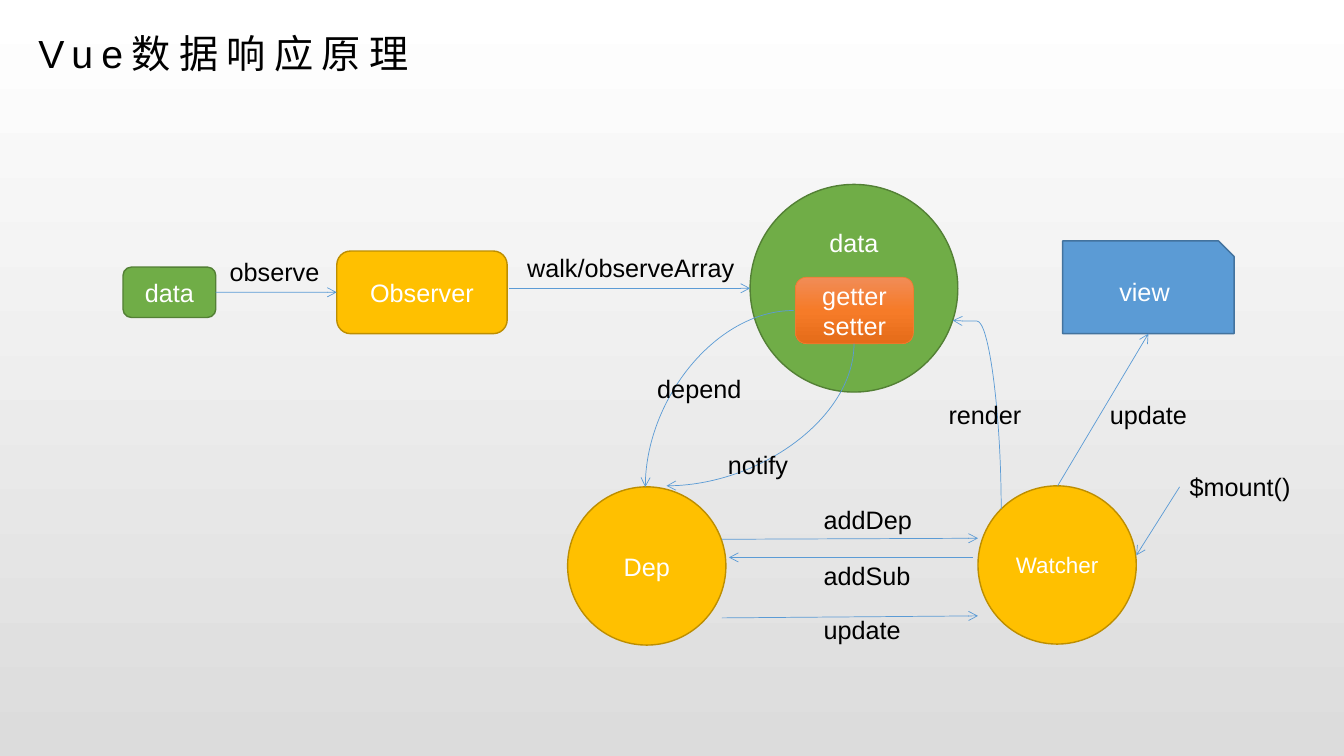
from copy import deepcopy
from lxml import etree
from pptx import Presentation
from pptx.dml.color import RGBColor
from pptx.enum.shapes import MSO_CONNECTOR, MSO_SHAPE
from pptx.enum.text import MSO_ANCHOR, MSO_AUTO_SIZE, PP_ALIGN
from pptx.oxml.ns import qn
from pptx.util import Inches, Pt

ROUND, OVAL, SNIP = (MSO_SHAPE.ROUNDED_RECTANGLE, MSO_SHAPE.OVAL,
                     MSO_SHAPE.SNIP_1_RECTANGLE)
LINE, CURVE = MSO_CONNECTOR.STRAIGHT, MSO_CONNECTOR.CURVE
MIDDLE, TOP = MSO_ANCHOR.MIDDLE, MSO_ANCHOR.TOP
CENTER, LEFT = PP_ALIGN.CENTER, PP_ALIGN.LEFT
FIT, FIXED = MSO_AUTO_SIZE.SHAPE_TO_FIT_TEXT, MSO_AUTO_SIZE.NONE

BLACK, WHITE = RGBColor(0, 0, 0), RGBColor(255, 255, 255)
GRAY = RGBColor(0xDC, 0xDC, 0xDC)
GREEN, MOSS = RGBColor(0x70, 0xAD, 0x47), RGBColor(0x53, 0x80, 0x35)
GOLD, OCHRE = RGBColor(0xFF, 0xC0, 0x00), RGBColor(0xBD, 0x8E, 0x00)
BLUE, NAVY = RGBColor(0x5B, 0x9B, 0xD5), RGBColor(0x43, 0x73, 0x9E)
RUST = RGBColor(0xED, 0x7D, 0x31)
GLOW = [RGBColor(0xF1, 0x8C, 0x57), RGBColor(0xF6, 0x7B, 0x28),
        RGBColor(0xE5, 0x6C, 0x19)]

FONT = "Arial"
WIDE, HIGH = Inches(13.33), Inches(7.5)
COLS, ROWS = 133.3, 75
TITLE = ("Vue数据响应原理", 2.7, 2.5, 45.9, 6.6)

NODES = {
    "data": ("data", ROUND, 12.2, 26.5, 9.2, 5, GREEN, MOSS, 18),
    "observer": ("Observer", ROUND, 33.4, 24.9, 16.9, 8.2, GOLD, OCHRE, 18),
    "store": ("data", OVAL, 74.4, 18.3, 20.6, 20.6, GREEN, MOSS, 18),
    "access": ("getter setter", ROUND, 78.9, 27.5, 11.7, 6.6, GLOW, RUST, 18),
    "dep": ("Dep", OVAL, 56.3, 48.3, 15.7, 15.7, GOLD, OCHRE, 18),
    "watcher": ("Watcher", OVAL, 97, 48.2, 15.7, 15.7, GOLD, OCHRE, 16),
    "view": ("view", SNIP, 105.4, 23.9, 17, 9.2, BLUE, NAVY, 18),
}
LINKS = [
    (21.4, 29, 33.4, 29, ("data", 3), ("observer", 1)),
    (50.5, 28.6, 74.4, 28.6, None, None),
    (71.6, 53.5, 97, 53.4, None, None),
    (104.9, 48.2, 113.9, 33.1, None, ("view", 2)),
    (71.6, 61.3, 97, 61.1, None, None),
    (96.5, 55.3, 72.3, 55.3, None, None),
    (117, 48.3, 112.7, 55.1, None, None),
]
CURVES = [
    (78.7, 30.8, 64, 48.3, 180, True, 2, None),
    (84.7, 34.1, 66.1, 48.2, 90, False, 2, None),
    (99.3, 50.5, 94.5, 31.8, 270, True, 3, 99700),
]
LABELS = [
    ("observe", 21.8, 24.9, 12),
    ("walk/observeArray", 51.3, 24.5, 23.9),
    ("depend", 64.2, 36.5, 10.8),
    ("notify", 71.2, 44.1, 8.5),
    ("addDep", 80.7, 49.5, 11.2),
    ("update", 109.1, 39.1, 10.1),
    ("update", 80.7, 60.5, 10.1),
    ("addSub", 80.7, 55.1, 11.1),
    ("$mount()", 117, 46.3, 12.5),
    ("render", 93.1, 39.1, 9.7),
]


def place(*cells):
    return [int(c * (HIGH / ROWS if i % 2 else WIDE / COLS))
            for i, c in enumerate(cells)]


def write(frame, text, size, color, align):
    frame.text = text
    para = frame.paragraphs[0]
    para.alignment = align
    font = para.runs[0].font
    font.name, font.size, font.color.rgb = FONT, Pt(size), color


def shade(fill, root, colors):
    fill.gradient()
    fill.gradient_angle = 270
    first = next(root.iter(qn("a:gs")))
    for _ in colors[2:]:
        first.addnext(deepcopy(first))
    for i, (stop, color) in enumerate(zip(fill.gradient_stops, colors)):
        stop.position = i / (len(colors) - 1)
        stop.color.rgb = color


def arrow(kind, *ends):
    link = slide.shapes.add_connector(kind, *place(*ends))
    link.line.color.rgb, link.line.width = BLUE, Pt(0.5)
    pen = link.line._get_or_add_ln()
    etree.SubElement(pen, qn("a:tailEnd"), type="arrow")
    etree.SubElement(link._element.spPr, qn("a:effectLst"))
    return link


deck = Presentation()
deck.slide_width, deck.slide_height = WIDE, HIGH
slide = deck.slides.add_slide(deck.slide_layouts[5])
shade(slide.background.fill, slide.element, [WHITE, GRAY])

title = slide.shapes.title
title.left, title.top, title.width, title.height = place(*TITLE[1:])
frame = title.text_frame
write(frame, TITLE[0], 28, BLACK, LEFT)
frame.word_wrap, frame.auto_size = True, FIXED
frame.vertical_anchor = TOP
frame.margin_left, frame.margin_right = Inches(0.11), Inches(0.03)
frame.margin_top = frame.margin_bottom = Inches(0.04)
frame.paragraphs[0].runs[0].font._element.set("spc", "600")

nodes = {}
for name, (text, kind, x, y, w, h, color, edge, size) in NODES.items():
    node = nodes[name] = slide.shapes.add_shape(kind, *place(x, y, w, h))
    node.shadow.inherit = False
    if color is GLOW:
        shade(node.fill, node._element, color)
    else:
        node.fill.solid()
        node.fill.fore_color.rgb = color
    node.line.color.rgb = edge
    node.line.width = Pt(0.5 if color is GLOW else 1)
    write(node.text_frame, text, size, WHITE, CENTER)
    node.text_frame.vertical_anchor = MIDDLE
nodes["store"].text_frame.margin_bottom = Inches(0.95)

for *ends, start, stop in LINKS:
    link = arrow(LINE, *ends)
    if start:
        link.begin_connect(nodes[start[0]], start[1])
    if stop:
        link.end_connect(nodes[stop[0]], stop[1])

for x1, y1, x2, y2, turn, flip, bends, bend in CURVES:
    w, h = abs(x2 - x1), abs(y2 - y1)
    if turn % 180:
        w, h = h, w
    x, y = (x1 + x2 - w) / 2, (y1 + y2 - h) / 2
    props = arrow(CURVE, x, y, x + w, y + h)._element.spPr
    form = props.find(qn("a:xfrm"))
    form.set("rot", str(turn * 60000))
    if flip:
        form.set("flipV", "1")
    shape = props.find(qn("a:prstGeom"))
    shape.set("prst", f"curvedConnector{bends}")
    if bend:
        etree.SubElement(shape.find(qn("a:avLst")), qn("a:gd"),
                         name="adj1", fmla=f"val {bend}")

for text, x, y, w in LABELS:
    label = slide.shapes.add_textbox(*place(x, y, w, 4))
    write(label.text_frame, text, 18, BLACK, LEFT)
    label.text_frame.word_wrap = True
    label.text_frame.auto_size = FIT

deck.save("out.pptx")
